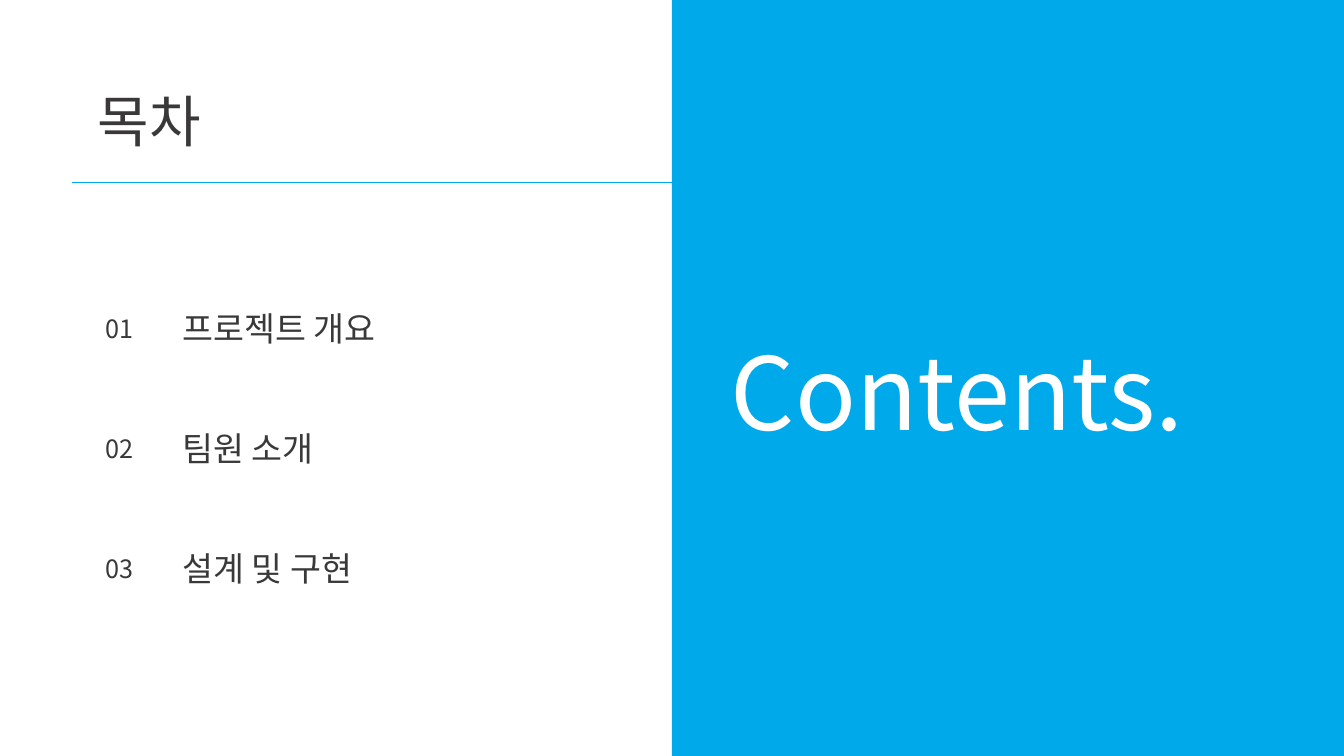
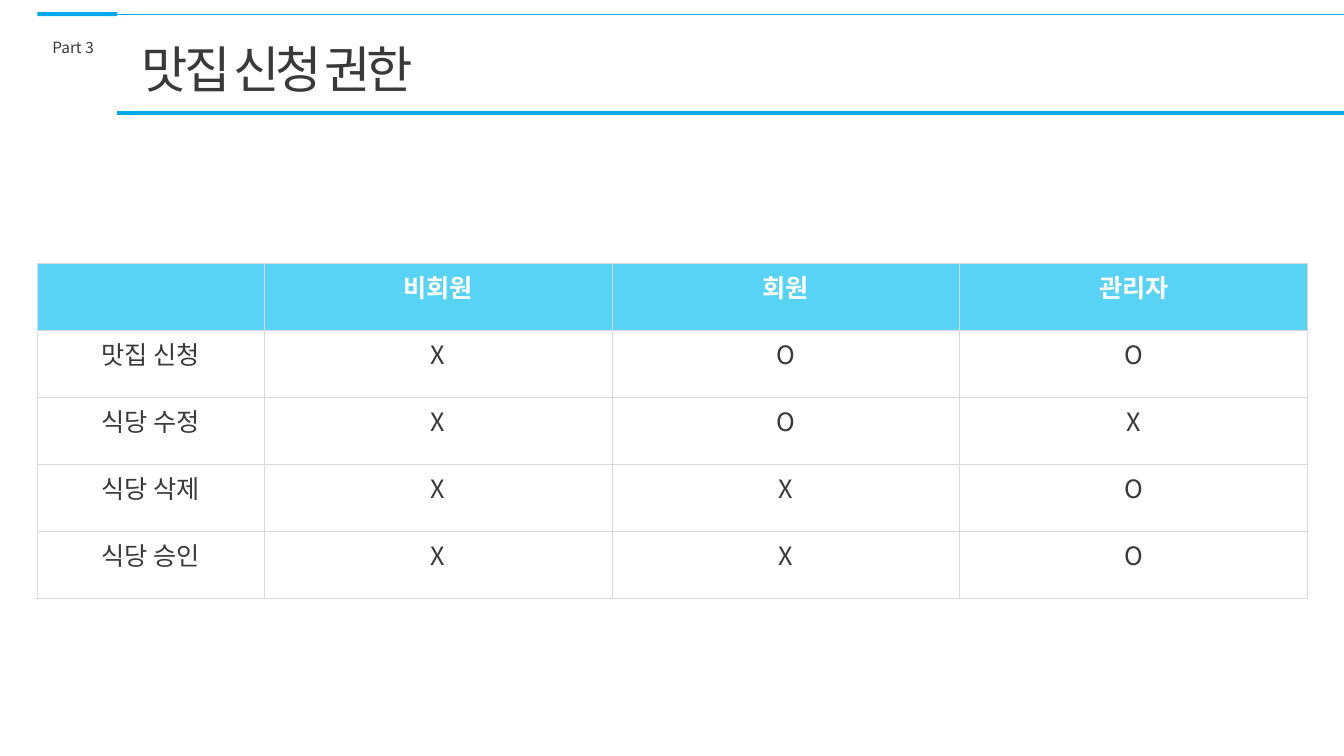
"""Build a contents slide and a permission table slide."""
from lxml import etree
from pptx import Presentation
from pptx.dml.color import RGBColor
from pptx.enum.shapes import MSO_CONNECTOR, MSO_SHAPE
from pptx.enum.text import MSO_AUTO_SIZE, PP_ALIGN
from pptx.oxml.ns import qn
from pptx.util import Inches, Pt

RECTANGLE = MSO_SHAPE.RECTANGLE
STRAIGHT = MSO_CONNECTOR.STRAIGHT
GROW = MSO_AUTO_SIZE.SHAPE_TO_FIT_TEXT
CENTER = PP_ALIGN.CENTER

COLORS = {"blue": "00A9EA", "sky": "59D3F5", "ink": "3A3838",
          "white": "FFFFFF", "grid": "D9D9D9"}
FONT = "Noto Sans CJK KR"
WIDTH, HEIGHT = 13.33, 7.5

AGENDA_TITLE = "목차"
AGENDA_BANNER = "Contents."
AGENDA = [("01", "프로젝트 개요", 2.24),
          ("02", "팀원 소개", 1.59),
          ("03", "설계 및 구현", 2.01)]
PART = "Part 3"
TABLE_TITLE = "맛집 신청 권한"
PERMISSIONS = [("", "비회원", "회원", "관리자"),
               ("맛집 신청", "X", "O", "O"),
               ("식당 수정", "X", "O", "X"),
               ("식당 삭제", "X", "X", "O"),
               ("식당 승인", "X", "X", "O")]
COLUMN_WIDTHS = [2.25, 3.45, 3.45, 3.45]
TABLE_HEIGHT = 3.33


def color(name):
    return RGBColor.from_string(COLORS[name])


def write(paragraph, text, size, ink="ink", bold=False, spacing=None):
    span = paragraph.add_run()
    span.text = text
    formats = {"name": FONT, "size": Pt(size), "bold": bold}
    for name, value in formats.items():
        setattr(span.font, name, value)
    span.font.color.rgb = color(ink)
    properties = span.font._element
    etree.SubElement(properties, qn("a:ea"), typeface=FONT)
    if spacing is not None:
        properties.set("spc", str(spacing * 100))


def add_text(page, place, text, size, **style):
    box = page.shapes.add_textbox(*map(Inches, place))
    frame = box.text_frame
    frame.word_wrap = False
    frame.auto_size = GROW
    write(frame.paragraphs[0], text, size, **style)


def add_block(page, *place):
    block = page.shapes.add_shape(RECTANGLE, *map(Inches, place))
    block.shadow.inherit = False
    block.fill.solid()
    block.fill.fore_color.rgb = color("blue")
    block.line.fill.background()


def add_rule(page, left, right, top, weight):
    rule = page.shapes.add_connector(
        STRAIGHT, *map(Inches, (left, top, right, top)))
    rule.line.color.rgb = color("blue")
    rule.line.width = Pt(weight)
    etree.SubElement(rule._element.spPr, qn("a:effectLst"))


def add_borders(cell):
    properties = cell._tc.get_or_add_tcPr()
    for side in ("lnL", "lnR", "lnT", "lnB"):
        border = etree.SubElement(properties, qn(f"a:{side}"), w=str(Pt(0.75)))
        fill = etree.SubElement(border, qn("a:solidFill"))
        etree.SubElement(fill, qn("a:srgbClr"), val=COLORS["grid"])


def add_permission_table(page):
    table = page.shapes.add_table(
        len(PERMISSIONS), len(COLUMN_WIDTHS), Inches(0.37), Inches(2.61),
        Inches(sum(COLUMN_WIDTHS)), Inches(TABLE_HEIGHT)).table
    table.horz_banding = False
    for column, width in zip(table.columns, COLUMN_WIDTHS):
        column.width = Inches(width)
    for row_index, labels in enumerate(PERMISSIONS):
        header = row_index == 0
        table.rows[row_index].height = Inches(TABLE_HEIGHT / len(PERMISSIONS))
        for column_index, label in enumerate(labels):
            cell = table.cell(row_index, column_index)
            add_borders(cell)
            cell.fill.solid()
            cell.fill.fore_color.rgb = color("sky" if header else "white")
            paragraph = cell.text_frame.paragraphs[0]
            paragraph.alignment = CENTER
            if label:
                write(paragraph, label, 18,
                      ink="white" if header else "ink", bold=header)


def build_contents(page):
    middle = WIDTH / 2
    add_block(page, middle, 0, middle, HEIGHT)
    add_text(page, (0.87, 0.81, 1.28, 0.77), AGENDA_TITLE, 40)
    add_rule(page, 0.71, middle, 1.81, 0.5)
    add_text(page, (7.15, 3.22, 5.75, 1.31), AGENDA_BANNER, 72, ink="white")
    for index, (number, label, width) in enumerate(AGENDA):
        top = 3.01 + 1.19 * index
        add_text(page, (0.95, top + 0.05, 0.54, 0.4), number, 18)
        add_text(page, (1.71, top, width, 0.5), label, 24)


def build_permissions(page):
    add_rule(page, 1.16, WIDTH, 1.12, 3)
    add_block(page, 0.37, 0.12, 0.79, 0.04)
    add_text(page, (0.42, 0.33, 0.71, 0.29), PART, 11)
    add_rule(page, 1.15, WIDTH, 0.14, 0.5)
    add_permission_table(page)
    add_text(page, (1.31, 0.33, 3.25, 0.71), TABLE_TITLE, 36, spacing=-3)


def main():
    deck = Presentation()
    deck.slide_width, deck.slide_height = Inches(WIDTH), Inches(HEIGHT)
    for build in (build_contents, build_permissions):
        build(deck.slides.add_slide(deck.slide_layouts[6]))
    deck.save("out.pptx")


if __name__ == "__main__":
    main()
